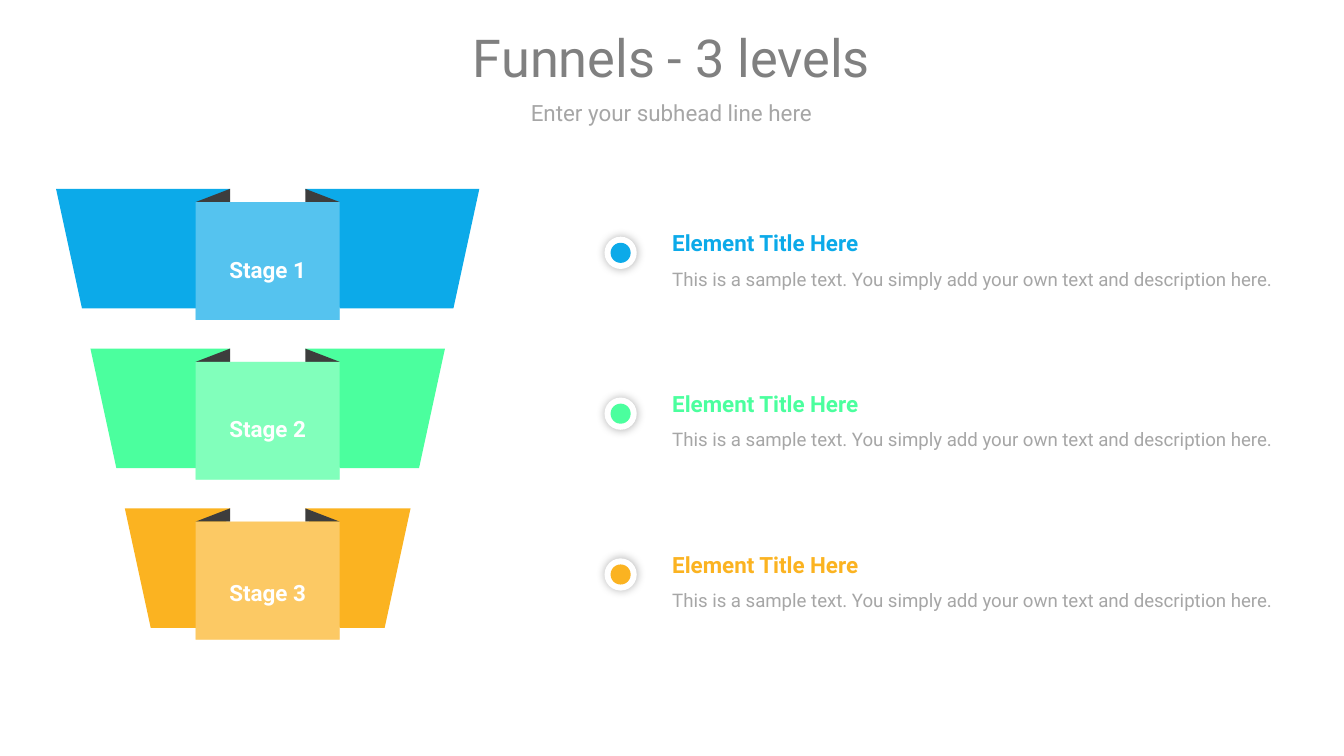
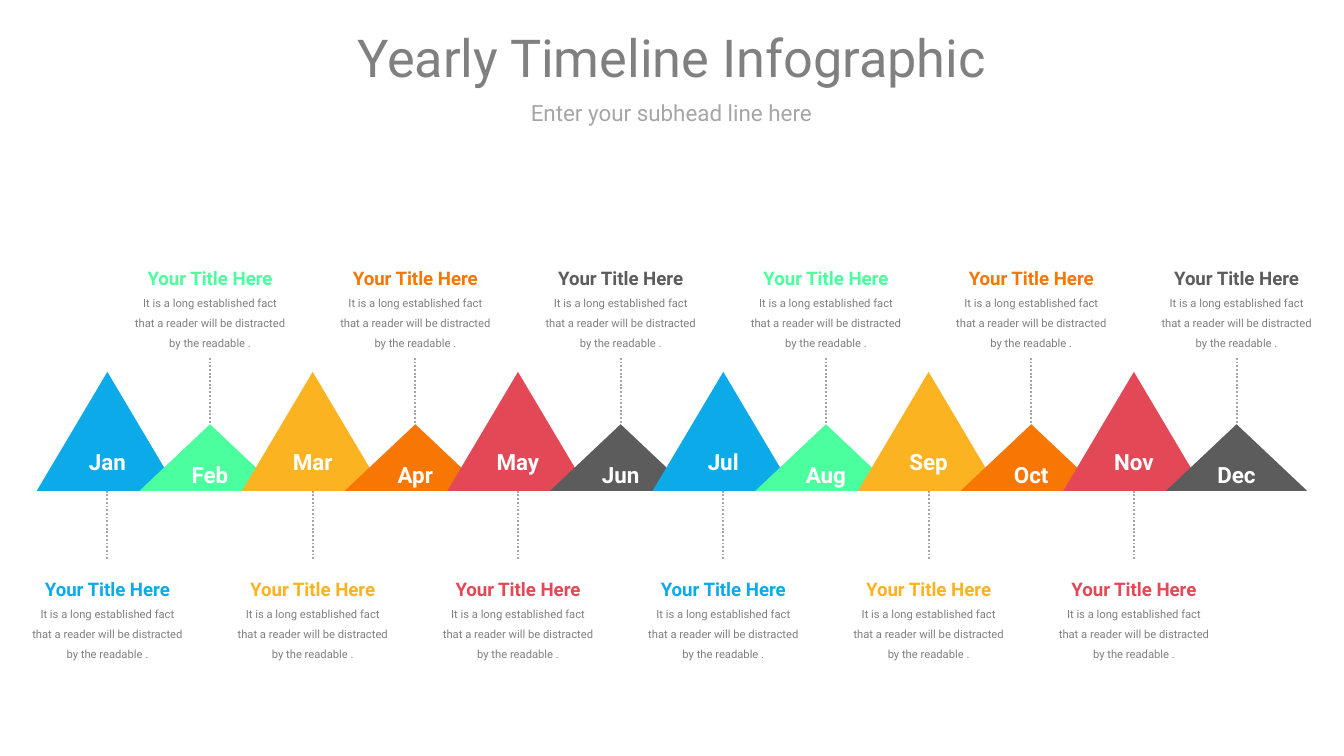
from dataclasses import dataclass

from lxml import etree
from pptx import Presentation
from pptx.dml.color import RGBColor
from pptx.enum.dml import MSO_LINE
from pptx.enum.shapes import MSO_CONNECTOR, MSO_SHAPE
from pptx.enum.text import MSO_ANCHOR, MSO_AUTO_SIZE, PP_ALIGN
from pptx.oxml.ns import qn
from pptx.util import Cm, Pt

LEFT, CENTER = PP_ALIGN.LEFT, PP_ALIGN.CENTER
MIDDLE = MSO_ANCHOR.MIDDLE
NO_AUTOFIT = MSO_AUTO_SIZE.NONE
RECTANGLE, OVAL = MSO_SHAPE.RECTANGLE, MSO_SHAPE.OVAL
TRIANGLE = MSO_SHAPE.ISOSCELES_TRIANGLE
STRAIGHT = MSO_CONNECTOR.STRAIGHT
DOTTED = MSO_LINE.ROUND_DOT


@dataclass(frozen=True)
class Theme:
    font: str = "Roboto"
    blue: str = "0CAAE9"
    green: str = "4BFF9E"
    yellow: str = "FBB321"
    orange: str = "F87604"
    red: str = "E34857"
    charcoal: str = "5C5C5C"
    fold: str = "3D3D3D"
    gray: str = "808080"
    light_gray: str = "A6A6A6"
    white: str = "FFFFFF"
    title_size: float = 28
    heading_size: float = 12
    body_size: float = 10
    small_size: float = 6
    spacing: float = 1.5


THEME = Theme()

# Content
SUBHEAD = "Enter your subhead line here"
FUNNEL_TITLE = "Funnels - 3 levels"
ELEMENT_TITLE = "Element Title Here"
ELEMENT_TEXT = ("This is a sample text. You simply add your own text "
                "and description here.")
STAGES = [  # label, colour, top of label
    ("Stage 1", THEME.blue, 4.62),
    ("Stage 2", THEME.green, 7.62),
    ("Stage 3", THEME.yellow, 10.72),
]
TIMELINE_TITLE = "Yearly Timeline Infographic"
MONTH_TITLE = "Your Title Here"
MONTH_TEXT = ("It is a long established fact that a reader will be "
              "distracted by the readable .")
MONTHS = ["Jan", "Feb", "Mar", "Apr", "May", "Jun",
          "Jul", "Aug", "Sep", "Oct", "Nov", "Dec"]
MONTH_COLORS = [THEME.blue, THEME.green, THEME.yellow,
                THEME.orange, THEME.red, THEME.charcoal]

# Funnel layout, in cm
FUNNEL_X, FUNNEL_TOP, STAGE_STEP = 5.06, 3.57, 3.02
WING_HALF, WING_STEP, WING_SLANT, WING_HEIGHT = 4.0, 0.65, 0.49, 2.26
PANEL_HALF, PANEL_HEIGHT = 1.36, 2.23
FOLD_HALF, FOLD_HEIGHT = 0.71, 0.25
ELEMENT_Y, ELEMENT_STEP, MARKER_X = 4.78, 3.04, 11.73

# Timeline layout, in cm
MONTH_X, MONTH_STEP, BASE_Y, PEAK_WIDTH = 2.03, 1.94, 9.28, 2.67
# peak height, stem start, stem end, centre of callout
TALL = (2.25, 10.57, 9.09, 11.6)
LOW = (1.26, 8.2, 6.73, 5.73)


# Helpers
def rgb(color):
    return RGBColor.from_string(color)


def box(x, y, width, height):
    """Left, top, width and height of a box centred on x, y."""
    return [Cm(v) for v in (x - width / 2, y - height / 2, width, height)]


def write(frame, lines, align=CENTER, spacing=1.0, wrap=True):
    """Fill a text frame with (text, size, colour, bold) lines."""
    frame.auto_size = NO_AUTOFIT
    frame.word_wrap = wrap
    frame.vertical_anchor = MIDDLE
    frame.margin_left = frame.margin_right = 0
    frame.margin_top = frame.margin_bottom = 0
    for i, (text, size, color, bold) in enumerate(lines):
        paragraph = frame.add_paragraph() if i else frame.paragraphs[0]
        paragraph.text = text
        paragraph.alignment = align
        paragraph.line_spacing = spacing
        paragraph.space_before = Pt(0)
        font = paragraph.font
        font.name, font.size, font.bold = THEME.font, Pt(size), bold
        font.color.rgb = rgb(color)


def paint(shape, color, opacity=None):
    shape.shadow.inherit = False
    shape.fill.solid()
    shape.fill.fore_color.rgb = rgb(color)
    if opacity is not None:
        tint = shape._element.spPr.find(".//" + qn("a:srgbClr"))
        etree.SubElement(tint, qn("a:alpha"), val=str(opacity * 1000))
    shape.line.fill.background()
    return shape


def add_polygon(shapes, points, color):
    start, *rest = [(Cm(x), Cm(y)) for x, y in points]
    outline = shapes.build_freeform(*start)
    outline.add_line_segments(rest, close=True)
    paint(outline.convert_to_shape(), color)


def add_glow(shape):
    effects = shape._element.spPr.find(qn("a:effectLst"))
    glow = etree.SubElement(effects, qn("a:outerShdw"), blurRad=str(Pt(5)),
                            dist="0", dir="0", algn="ctr", rotWithShape="0")
    black = etree.SubElement(glow, qn("a:srgbClr"), val="000000")
    etree.SubElement(black, qn("a:alpha"), val="29000")


def add_titled_slide(deck, title):
    slide = deck.slides.add_slide(deck.slide_layouts[1])
    heading, subhead = slide.shapes.title, slide.placeholders[1]
    for holder, top, height in ((heading, 0.38, 1.37), (subhead, 1.88, 0.48)):
        holder.left, holder.top = Cm(1.07), Cm(top)
        holder.width, holder.height = Cm(23.24), Cm(height)
    write(heading.text_frame, [(title, THEME.title_size, THEME.gray, False)])
    properties = subhead.text_frame.paragraphs[0]._p.get_or_add_pPr()
    properties.set("marL", "0")
    properties.set("indent", "0")
    etree.SubElement(properties, qn("a:buNone"))
    write(subhead.text_frame,
          [(SUBHEAD, THEME.heading_size, THEME.light_gray, False)], wrap=False)
    return slide


# Slide 1: funnel
def add_stage(slide, i, color):
    top = FUNNEL_TOP + i * STAGE_STEP
    wing = WING_HALF - i * WING_STEP
    stage = slide.shapes.add_group_shape().shapes
    for side in (-1, 1):
        wing_points = [(wing, 0), (FOLD_HALF, 0), (PANEL_HALF, WING_HEIGHT),
                       (wing - WING_SLANT, WING_HEIGHT)]
        fold_points = [(FOLD_HALF, 0), (PANEL_HALF, FOLD_HEIGHT),
                       (FOLD_HALF, FOLD_HEIGHT)]
        for points, fill in ((wing_points, color), (fold_points, THEME.fold)):
            add_polygon(stage, [(FUNNEL_X + side * x, top + y)
                                for x, y in points], fill)
    panel = box(FUNNEL_X, top + FOLD_HEIGHT + PANEL_HEIGHT / 2,
                2 * PANEL_HALF, PANEL_HEIGHT)
    paint(stage.add_shape(RECTANGLE, *panel), color)
    paint(stage.add_shape(RECTANGLE, *panel), THEME.white, opacity=30)


def add_element(slide, y, color):
    description = slide.shapes.add_textbox(*box(18.52, y, 11.63, 1.4))
    write(description.text_frame,
          [(ELEMENT_TITLE, THEME.heading_size, color, True),
           (ELEMENT_TEXT, THEME.body_size, THEME.light_gray, False)],
          align=LEFT, spacing=THEME.spacing)
    marker = slide.shapes.add_group_shape().shapes
    ring = marker.add_shape(OVAL, *box(MARKER_X, y, 0.61, 0.61))
    add_glow(paint(ring, THEME.white))
    paint(marker.add_shape(OVAL, *box(MARKER_X, y, 0.38, 0.38)), color)


def build_funnel(deck):
    slide = add_titled_slide(deck, FUNNEL_TITLE)
    for i, (label, color, label_top) in enumerate(STAGES):
        add_stage(slide, i, color)
        add_element(slide, ELEMENT_Y + i * ELEMENT_STEP, color)
        caption = slide.shapes.add_textbox(
            *box(FUNNEL_X, label_top + 0.35, 2.36, 0.7))
        write(caption.text_frame,
              [(label, THEME.heading_size, THEME.white, True)],
              spacing=THEME.spacing)


# Slide 2: timeline
def add_callout(slide, x, stem_start, stem_end, y, color):
    stem = slide.shapes.add_connector(STRAIGHT, Cm(x), Cm(stem_start),
                                      Cm(x), Cm(stem_end))
    stem.line.color.rgb = rgb(THEME.light_gray)
    stem.line.width = Pt(1)
    stem.line.dash_style = DOTTED
    etree.SubElement(stem._element.spPr, qn("a:effectLst"))
    note = slide.shapes.add_textbox(*box(x, y, 2.9, 1.8))
    write(note.text_frame,
          [(MONTH_TITLE, THEME.body_size, color, True),
           (MONTH_TEXT, THEME.small_size, THEME.gray, False)],
          spacing=THEME.spacing)


def add_peak(slide, month, x, height, color):
    peak = slide.shapes.add_shape(
        TRIANGLE, *box(x, BASE_Y - height / 2, PEAK_WIDTH, height))
    paint(peak, color)
    write(peak.text_frame, [(month, THEME.heading_size, THEME.white, True)])


def build_timeline(deck):
    slide = add_titled_slide(deck, TIMELINE_TITLE)
    peaks = []
    for i, month in enumerate(MONTHS):
        x = MONTH_X + i * MONTH_STEP
        color = MONTH_COLORS[i % len(MONTH_COLORS)]
        height, stem_start, stem_end, y = LOW if i % 2 else TALL
        add_callout(slide, x, stem_start, stem_end, y, color)
        peaks.append((month, x, height, color))
    # Peaks stand in front of every stem
    for peak in peaks:
        add_peak(slide, *peak)


def main():
    deck = Presentation()
    deck.slide_width, deck.slide_height = Cm(25.4), Cm(14.29)
    build_funnel(deck)
    build_timeline(deck)
    deck.save("out.pptx")


if __name__ == "__main__":
    main()
